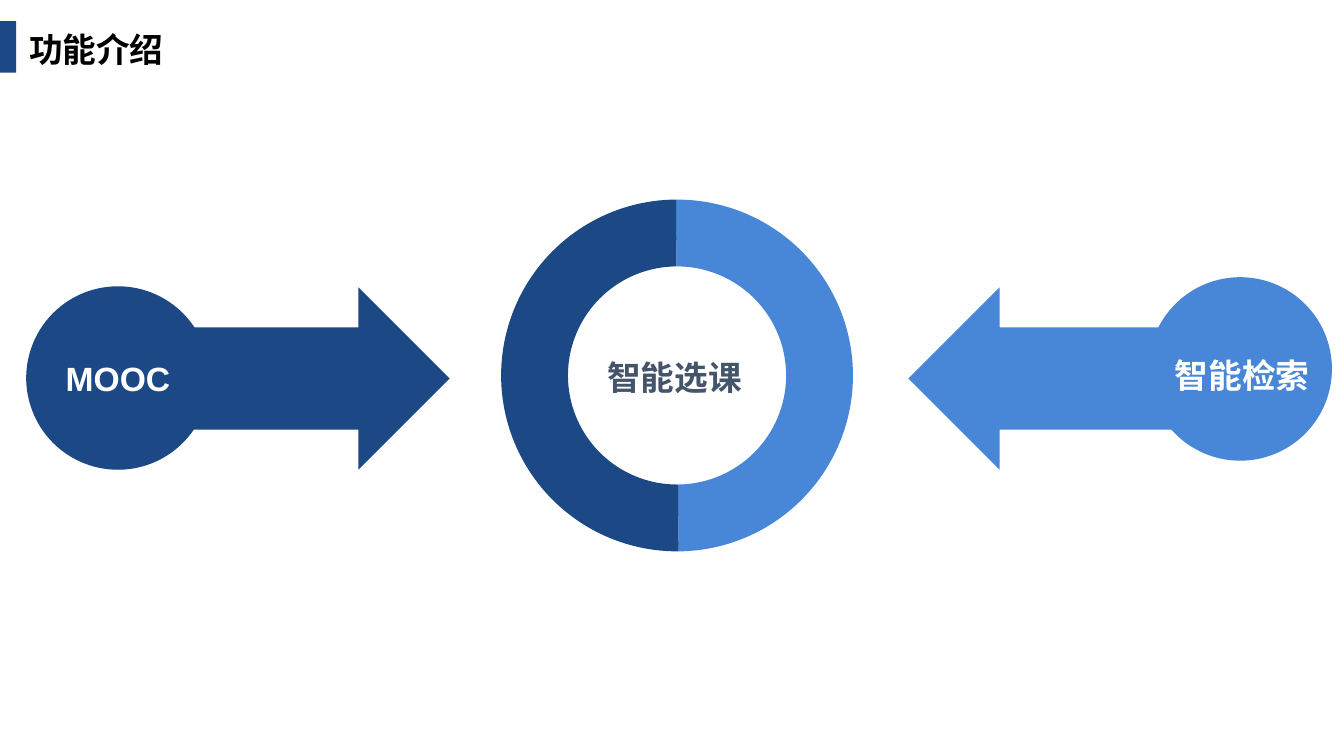
from lxml import etree
from pptx import Presentation
from pptx.dml.color import RGBColor
from pptx.enum import shapes, text
from pptx.oxml.ns import qn
from pptx.util import Inches, Pt

COLORS = {"navy": "1C4885", "blue": "4886D8", "slate": "445469",
          "white": "FFFFFF", "black": "000000"}
CJK_FONT = "Noto Sans CJK SC"
SHAPE = shapes.MSO_SHAPE

prs = Presentation()
prs.slide_width, prs.slide_height = Inches(13.33), Inches(7.5)
s = prs.slides.add_slide(prs.slide_layouts[6])


def add_filled(kind, box, color, adjustments=()):
    sp = s.shapes.add_shape(kind, *map(Inches, box))
    sp.shadow.inherit = False
    sp.fill.solid()
    sp.fill.fore_color.rgb = RGBColor.from_string(COLORS[color])
    sp.line.fill.background()
    for i, value in enumerate(adjustments):
        sp.adjustments[i] = value
    return sp


def add_bold_text(content, box, font, color):
    tf = s.shapes.add_textbox(*map(Inches, box)).text_frame
    tf.word_wrap = True
    tf.auto_size = text.MSO_AUTO_SIZE.SHAPE_TO_FIT_TEXT
    tf.text = content
    r = tf.paragraphs[0].runs[0]
    r.font.size, r.font.bold, r.font.name = Pt(24), True, font
    r.font.color.rgb = RGBColor.from_string(COLORS[color])
    etree.SubElement(r.font._element, qn("a:ea"), typeface=CJK_FONT)
    return tf


# Title with its side bar
add_bold_text("功能介绍", (0.19, 0.24, 2.89, 0.5), CJK_FONT, "black")
add_filled(SHAPE.RECTANGLE, (0, 0.21, 0.16, 0.51), "navy")

# Arrows pointing at the ring, each starting from a circle
add_filled(SHAPE.RIGHT_ARROW, (1.91, 2.85, 2.55, 1.81), "navy", (0.56, 0.5))
left_arrow = add_filled(SHAPE.LEFT_ARROW, (9.01, 2.85, 2.7, 1.81), "blue", (0.56, 0.5))
add_filled(SHAPE.OVAL, (0.26, 2.84, 1.82, 1.82), "navy")
add_filled(SHAPE.OVAL, (11.39, 2.75, 1.82, 1.82), "blue")

# Ring halves: arc angles are in units of 5/3 degree, then the relative thickness
ring_box = (4.97, 1.98, 3.49, 3.49)
top, bottom, thickness = 161.8, 53.7, 0.19
add_filled(SHAPE.BLOCK_ARC, ring_box, "blue", (top, bottom, thickness))
add_filled(SHAPE.BLOCK_ARC, ring_box, "navy", (bottom, top, thickness))

# Labels
for label, left, y, color in (("MOOC", 0.19, 3.55, "white"),
                              ("智能检索", 11.34, 3.52, "white"),
                              ("智能选课", 5.71, 3.54, "slate")):
    tf = add_bold_text(label, (left, y, 1.96, 0.4), "Arial", color)
    tf.margin_left = tf.margin_right = tf.margin_top = tf.margin_bottom = 0
    tf.paragraphs[0].alignment = text.PP_ALIGN.CENTER

prs.save("out.pptx")
